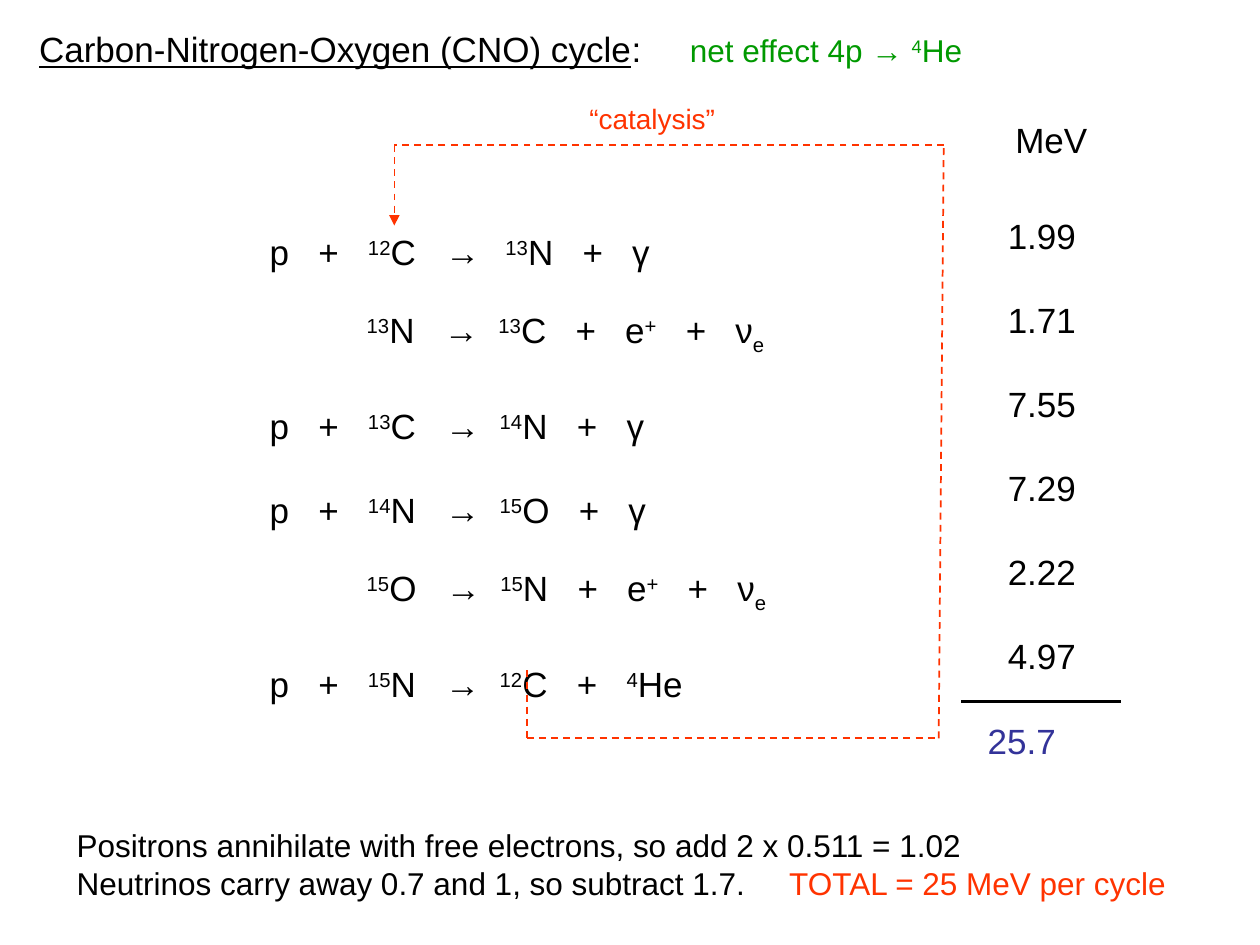
from itertools import groupby, pairwise

from lxml import etree
from pptx import Presentation
from pptx import util as u
from pptx.dml.color import RGBColor
from pptx.enum import dml, shapes, text
from pptx.oxml.ns import qn

# The slide is a grid of 100 columns by 75 rows.
CELL = u.Inches(0.1)
BLACK, GREEN, RED, BLUE = "000000", "009900", "FF3300", "333399"

# ^...^ raises its content; ^_...^ lowers it.
# Each gap mark is one space, widened by this many space widths.
GAPS = {"~": 1, "|": 2, "#": 4}
SPACE_WIDTH = 0.278  # share of the type size

REACTIONS = [
    "p|+|^12^C|→~^ 13^N|+|γ",
    "^13^N|→~^13^C|+|e^+^|+|ν^_e^",
    "p|+|^13^C|→~^14^N|+|γ",
    "p|+|^14^N|→~^15^O|+|γ",
    "^15^O|→~^15^N|+|e^+^|+|ν^_e^",
    "p|+|^15^N|→~^12^C|+|^4^He",
]
DECAY_INDENT = 7.7
ENERGIES = ["1.99", "1.71", "7.55", "7.29", "2.22", "4.97"]
RETURN_ROUTE = [(41.8, 53.2), (41.8, 58.6), (74.5, 58.6),
                (74.9, 11.5), (31.3, 11.5), (31.3, 17.9)]


def grid(*cells):
    return [round(CELL * cell) for cell in cells]


def color(hex_string):
    return RGBColor.from_string(hex_string)


def add_words(paragraph, markup, size=20, ink=BLACK, underline=False):
    for index, part in enumerate(markup.split("^")):
        lowered = part.startswith("_")
        for gap, letters in groupby(part.lstrip("_"), key=GAPS.get):
            run = paragraph.add_run()
            run.text = " " if gap else "".join(letters)
            run.font.name = "Arial"
            run.font.size = u.Pt(size)
            run.font.color.rgb = color(ink)
            run.font.underline = underline
            if gap:
                run.font._element.set("spc", str(round(gap * SPACE_WIDTH * size * 100)))
            if index % 2:
                run.font._element.set("baseline", "-25000" if lowered else "30000")


def format_paragraph(paragraph, size=20, gap=0, indent=0):
    """Set plain left-aligned lines with fixed leading."""
    paragraph.alignment = text.PP_ALIGN.LEFT
    paragraph.line_spacing = u.Pt(size * 1.2)
    paragraph.space_before = u.Pt(gap)
    paragraph.space_after = u.Pt(0)
    properties = paragraph._p.get_or_add_pPr()
    properties.set("marL", str(round(CELL * indent)))
    properties.set("indent", "0")
    etree.SubElement(properties, qn("a:buNone"))


def prepare_frame(shape, wrap=True):
    frame = shape.text_frame
    frame.word_wrap = wrap
    frame.auto_size = text.MSO_AUTO_SIZE.NONE
    frame.vertical_anchor = text.MSO_ANCHOR.TOP
    return frame


def place(placeholder, *area):
    (placeholder.left, placeholder.top,
     placeholder.width, placeholder.height) = grid(*area)
    return prepare_frame(placeholder)


def list_paragraphs(frame, count):
    return [frame.paragraphs[0]] + [frame.add_paragraph() for _ in range(count - 1)]


def add_label(parent, area, lines, size=20, ink=BLACK, gap=0):
    frame = prepare_frame(parent.shapes.add_textbox(*grid(*area)), wrap=False)
    for row, (paragraph, line) in enumerate(zip(list_paragraphs(frame, len(lines)), lines)):
        format_paragraph(paragraph, size, gap if row else 0)
        add_words(paragraph, line, size, ink)


def add_line(parent, start, end, ink, width, dashed=False, arrow=False):
    line = parent.shapes.add_connector(
        shapes.MSO_CONNECTOR.STRAIGHT, *grid(*start, *end))
    line.line.color.rgb = color(ink)
    line.line.width = u.Pt(width)
    if dashed:
        line.line.dash_style = dml.MSO_LINE.DASH
    if arrow:
        etree.SubElement(line.line._get_or_add_ln(), qn("a:tailEnd"), type="triangle")
    etree.SubElement(line._element.spPr, qn("a:effectLst"))


def write_heading(title):
    heading = place(title, 2.1, 1.7, 75.5, 4.4).paragraphs[0]
    format_paragraph(heading)
    add_words(heading, "Carbon-Nitrogen-Oxygen (CNO) cycle", underline=True)
    add_words(heading, ":#")
    add_words(heading, "net effect 4p → ^4^He", 18, GREEN)


def write_reactions(body):
    frame = place(body, 20.4, 17.8, 42, 39.5)
    body.fill.solid()
    body.fill.fore_color.rgb = color("FFFFFF")
    for row, (paragraph, reaction) in enumerate(
            zip(list_paragraphs(frame, len(REACTIONS)), REACTIONS)):
        is_decay = "_" in reaction
        format_paragraph(paragraph, gap=24 if row else 0,
                         indent=DECAY_INDENT if is_decay else 0)
        if is_decay:
            paragraph.space_after = u.Pt(3.4)  # room for the lowered index
        add_words(paragraph, reaction)


def add_energies(slide):
    energies = slide.shapes.add_group_shape()
    add_label(energies, (79, 16.5, 7.4, 41), ENERGIES, gap=24)
    add_label(energies, (79.6, 8.9, 7.7, 4.4), ["MeV"])
    add_line(energies, (76.3, 55.7), (89, 55.7), BLACK, 1.5)
    add_label(energies, (77.4, 56.6, 7.4, 4.4), ["25.7"], ink=BLUE)


def add_balance(slide):
    frame = prepare_frame(slide.shapes.add_textbox(*grid(5.1, 65.1, 89.5, 7)))
    positrons, neutrinos = list_paragraphs(frame, 2)
    for paragraph in (positrons, neutrinos):
        format_paragraph(paragraph, 18)
    add_words(positrons,
              "Positrons annihilate with free electrons, so add 2 x 0.511 = 1.02", 18)
    add_words(neutrinos, "Neutrinos carry away 0.7 and 1, so subtract 1.7.#", 18)
    add_words(neutrinos, "TOTAL = 25 MeV per cycle", 18, RED)


def add_catalysis(slide):
    catalysis = slide.shapes.add_group_shape()
    for start, end in pairwise(RETURN_ROUTE):
        add_line(catalysis, start, end, RED, 1, dashed=True,
                 arrow=end == RETURN_ROUTE[-1])
    add_label(catalysis, (45.8, 7.6, 12, 3.7), ["“catalysis”"], 16, RED)


def main():
    deck = Presentation()
    deck.slide_width, deck.slide_height = grid(100, 75)
    slide = deck.slides.add_slide(deck.slide_layouts[1])
    title, body = slide.placeholders
    write_heading(title)
    write_reactions(body)
    add_energies(slide)
    add_balance(slide)
    add_catalysis(slide)
    deck.save("out.pptx")


if __name__ == "__main__":
    main()
